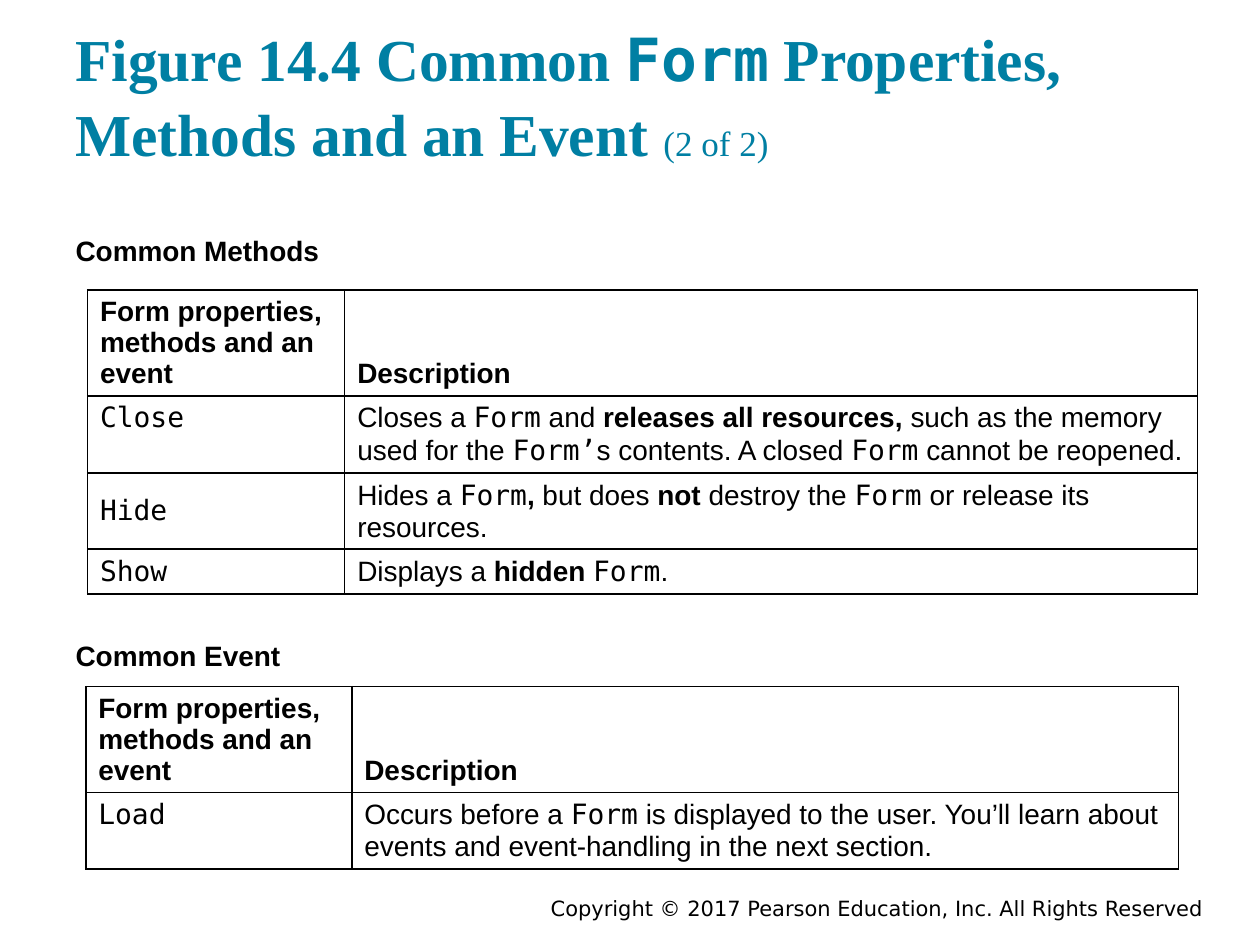
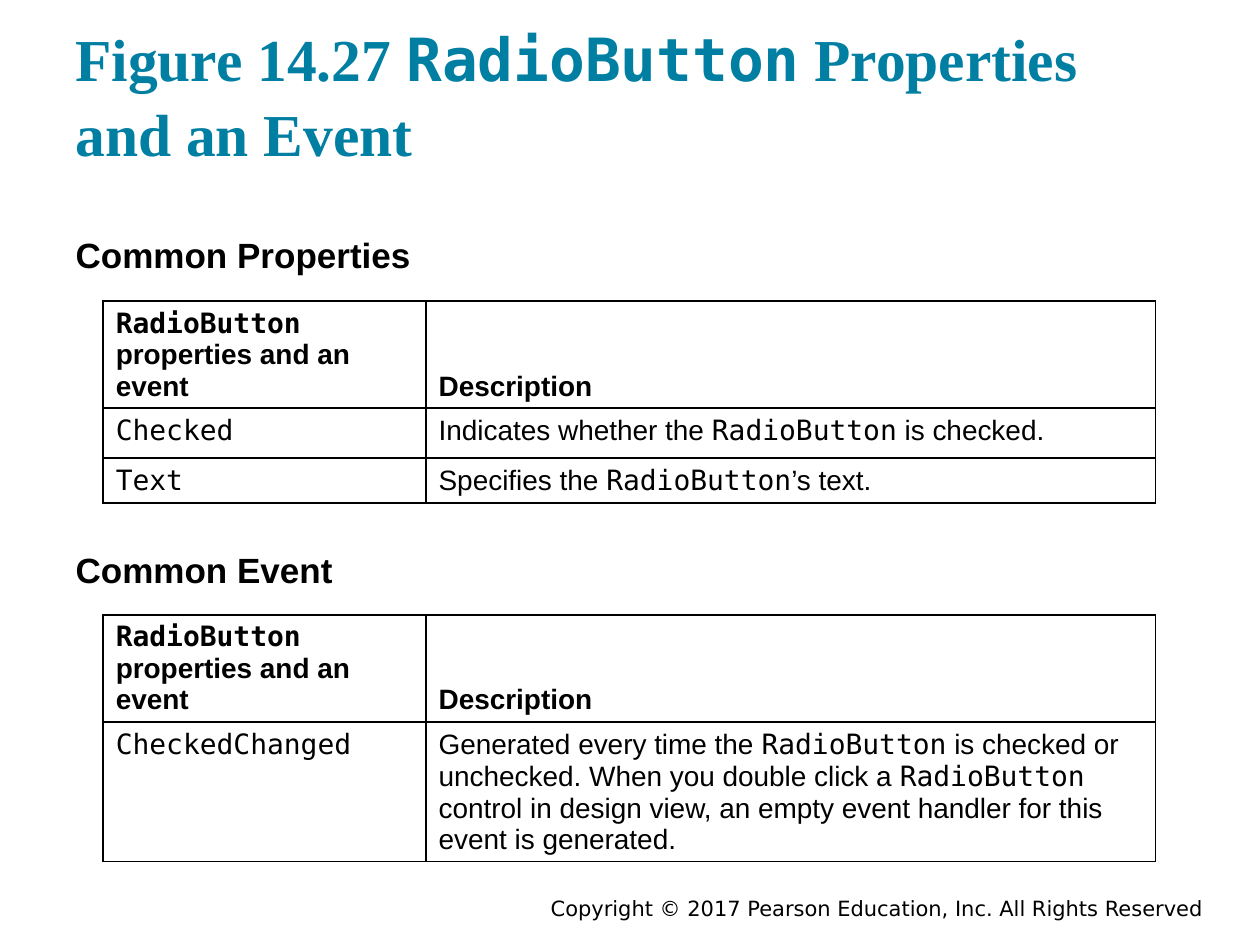
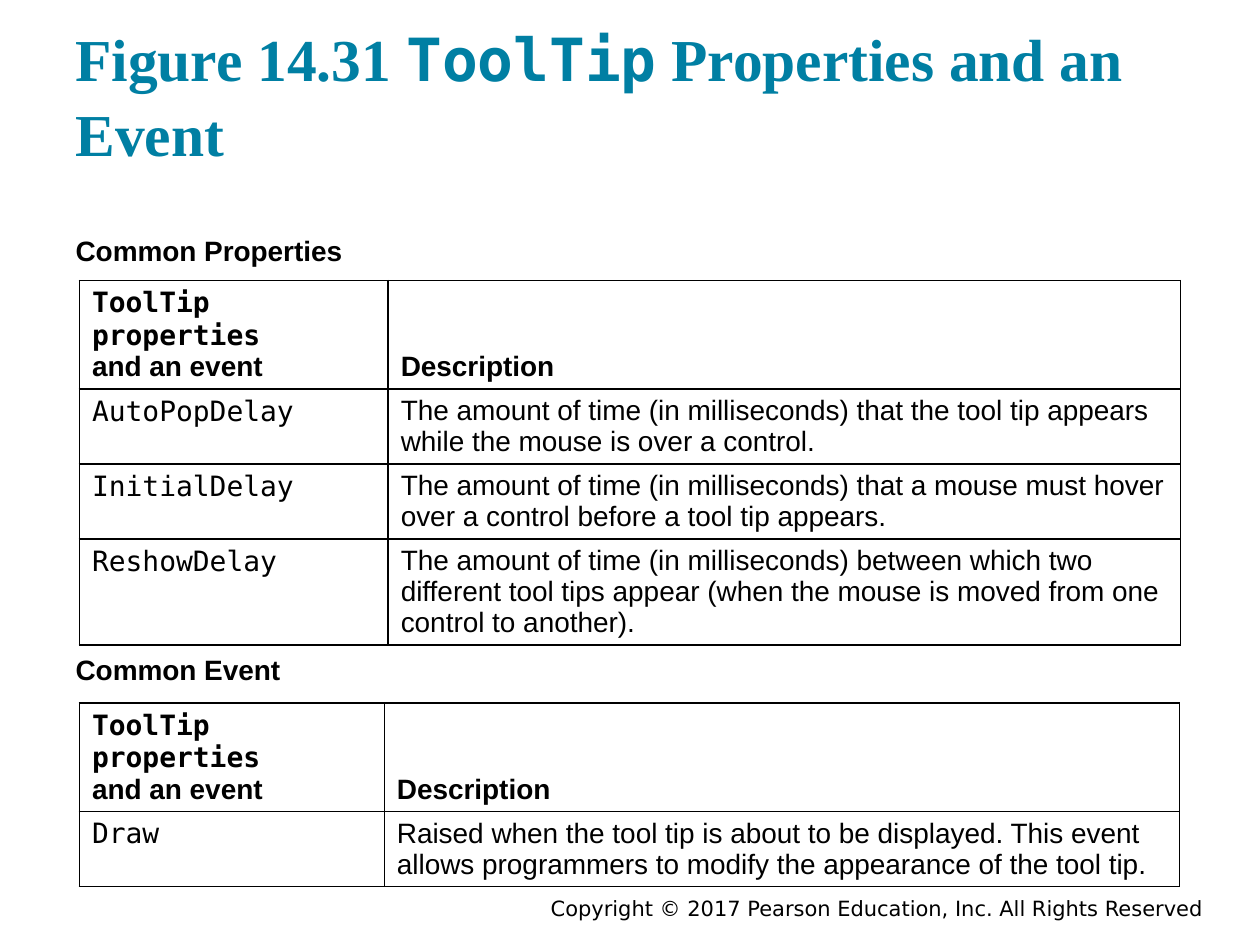
from lxml import etree
from pptx import Presentation
from pptx.dml.color import RGBColor
from pptx.enum.text import MSO_ANCHOR, MSO_AUTO_SIZE, PP_ALIGN
from pptx.oxml.ns import qn
from pptx.util import Pt

TOP, MIDDLE, BOTTOM = MSO_ANCHOR.TOP, MSO_ANCHOR.MIDDLE, MSO_ANCHOR.BOTTOM
LEFT, RIGHT = PP_ALIGN.LEFT, PP_ALIGN.RIGHT
NO_AUTOFIT = MSO_AUTO_SIZE.NONE

COLORS = {"title": "007FA3", "text": "000000", "border": "000000"}
CODE_FONT = "DejaVu Sans Mono"
TITLE = {"name": "Times New Roman", "size": Pt(34), "bold": True, "color": "title"}
TITLE_NOTE = {**TITLE, "size": Pt(20), "bold": False}
BODY = {"name": "Arial", "size": Pt(16), "bold": False, "color": "text"}
BOLD = {**BODY, "bold": True}
FOOTER = {**BODY, "name": "DejaVu Sans", "size": Pt(12)}

COPYRIGHT = "Copyright © 2017 Pearson Education, Inc. All Rights Reserved"
FORM_HEADER = "Form properties,\nmethods and an event"
RADIO_HEADER = "`RadioButton`\nproperties and an event"
TOOLTIP_HEADER = "`ToolTip properties`\nand an event"
HEADER_LINES = 3
LINE_HEIGHT = 17.8
CELL_PADDING = 7.2

# Backticks mark code and asterisks mark bold; each row is name, description, line count, name anchor.
SLIDES = [
    {
        "title": "Figure 14.4 Common `Form` Properties, Methods and an Event ",
        "note": "(2 of 2)",
        "heading_size": 16,
        "header": FORM_HEADER,
        "sections": [
            {"heading": "Common Methods", "heading_top": 126,
             "table_at": (50, 165.6), "columns": (147, 487.4),
             "rows": [
                 ("Close", "Closes a `Form` and *releases all resources,* such as the memory "
                  "used for the `Form’`s contents. A closed `Form` cannot be reopened.", 2, TOP),
                 ("Hide", "Hides a `Form`*,* but does *not* destroy the `Form` or release "
                  "its resources.", 2, MIDDLE),
                 ("Show", "Displays a *hidden *`Form`.", 1, MIDDLE),
             ]},
            {"heading": "Common Event", "heading_top": 357.8,
             "table_at": (49, 392.4), "columns": (152, 472.3),
             "rows": [
                 ("Load", "Occurs before a `Form` is displayed to the user. You’ll learn about "
                  "events and event-handling in the next section.", 2, TOP),
             ]},
        ],
    },
    {
        "title": "Figure 14.27 `RadioButton` Properties and an Event",
        "note": "",
        "heading_size": 20,
        "header": RADIO_HEADER,
        "sections": [
            {"heading": "Common Properties", "heading_top": 126,
             "table_at": (59, 172), "columns": (184.5, 416.7),
             "rows": [
                 ("Checked", "Indicates whether the `RadioButton` is checked.", 1.2, TOP),
                 ("Text", "Specifies the `RadioButton`’s text.", 1, TOP),
             ]},
            {"heading": "Common Event", "heading_top": 306,
             "table_at": (59, 351.3), "columns": (184.5, 416.7),
             "rows": [
                 ("CheckedChanged", "Generated every time the `RadioButton` is checked or "
                  "unchecked. When you double click a `RadioButton` control in design view, "
                  "an empty event handler for this event is generated.", 4, TOP),
             ]},
        ],
    },
    {
        "title": "Figure 14.31 `ToolTip` Properties and an Event",
        "note": "",
        "heading_size": 16,
        "header": TOOLTIP_HEADER,
        "sections": [
            {"heading": "Common Properties", "heading_top": 126,
             "table_at": (45.4, 160.4), "columns": (176.4, 452.9),
             "rows": [
                 ("AutoPopDelay", "The amount of time (in milliseconds) that the tool tip "
                  "appears while the mouse is over a control.", 2, TOP),
                 ("InitialDelay", "The amount of time (in milliseconds) that a mouse must "
                  "hover over a control before a tool tip appears.", 2, TOP),
                 ("ReshowDelay", "The amount of time (in milliseconds) between which two "
                  "different tool tips appear (when the mouse is moved from one control to "
                  "another).", 3, TOP),
             ]},
            {"heading": "Common Event", "heading_top": 365.8,
             "table_at": (45.4, 401.8), "columns": (174.2, 454.3),
             "rows": [
                 ("Draw", "Raised when the tool tip is about to be displayed. This event "
                  "allows programmers to modify the appearance of the tool tip.", 2, TOP),
             ]},
        ],
    },
]


def add_run(paragraph, text, style):
    run = paragraph.add_run()
    run.text = text
    for attribute, value in style.items():
        if attribute == "color":
            run.font.color.rgb = RGBColor.from_string(COLORS[value])
        else:
            setattr(run.font, attribute, value)


def add_marked_text(paragraph, text, style):
    for code_index, section in enumerate(text.split("`")):
        is_code = code_index % 2 == 1
        for bold_index, part in enumerate(section.split("*")):
            if part:
                add_run(paragraph, part, {
                    **style,
                    "name": CODE_FONT if is_code else style["name"],
                    "bold": style["bold"] or bold_index % 2 == 1,
                })


def place(shape, left, top, width, height):
    for attribute, value in zip(("left", "top", "width", "height"), (left, top, width, height)):
        setattr(shape, attribute, Pt(value))


def format_frame(shape, anchor, margin, alignment=LEFT, line_spacing=1.0):
    frame = shape.text_frame
    settings = {"word_wrap": True, "auto_size": NO_AUTOFIT, "vertical_anchor": anchor,
                "margin_left": Pt(7.2), "margin_right": Pt(7.2),
                "margin_top": Pt(margin), "margin_bottom": Pt(margin)}
    for attribute, value in settings.items():
        setattr(frame, attribute, value)
    paragraph = frame.paragraphs[0]
    paragraph.alignment = alignment
    paragraph.space_before = Pt(0)
    paragraph.line_spacing = line_spacing
    return paragraph


def add_title(slide, text, note):
    shape = slide.shapes.title
    place(shape, 36, 17.3, 648, 86.4)
    paragraph = format_frame(shape, BOTTOM, 7.2, line_spacing=1.06)
    add_marked_text(paragraph, text, TITLE)
    if note:
        add_run(paragraph, note, TITLE_NOTE)


def add_heading(shape, text, top, size):
    place(shape, 36, top, 648, 30)
    add_run(format_frame(shape, TOP, 7.2), text, {**BOLD, "size": Pt(size)})


def add_footer(slide):
    shape = slide.shapes.add_textbox(Pt(216), Pt(509.8), Pt(478.8), Pt(18))
    add_run(format_frame(shape, MIDDLE, 3.6, RIGHT), COPYRIGHT, FOOTER)


def add_borders(cell):
    properties = cell._tc.get_or_add_tcPr()
    for side in ("lnL", "lnR", "lnT", "lnB"):
        line = etree.SubElement(properties, qn(f"a:{side}"), w=str(Pt(1)))
        fill = etree.SubElement(line, qn("a:solidFill"))
        etree.SubElement(fill, qn("a:srgbClr"), val=COLORS["border"])


def fill_cell(cell, text, style, anchor):
    add_borders(cell)
    cell.fill.background()
    cell.vertical_anchor = anchor
    for index, line in enumerate(text.split("\n")):
        frame = cell.text_frame
        paragraph = frame.add_paragraph() if index else frame.paragraphs[0]
        add_marked_text(paragraph, line, style)


def add_member_table(slide, header, section):
    rows = [(header, "Description", HEADER_LINES, BOTTOM, BOLD)]
    rows += [(f"`{name}`", description, lines, anchor, BODY)
             for name, description, lines, anchor in section["rows"]]
    heights = [LINE_HEIGHT * row[2] + CELL_PADDING for row in rows]
    left, top = section["table_at"]
    columns = section["columns"]
    table = slide.shapes.add_table(len(rows), len(columns), Pt(left), Pt(top),
                                   Pt(sum(columns)), Pt(sum(heights))).table
    table.first_row = table.horz_banding = False
    for column, width in zip(table.columns, columns):
        column.width = Pt(width)
    for index, (name, description, _, anchor, style) in enumerate(rows):
        table.rows[index].height = Pt(heights[index])
        fill_cell(table.cell(index, 0), name, style, anchor)
        fill_cell(table.cell(index, 1), description, style, anchor)


def build_slide(presentation, content):
    slide = presentation.slides.add_slide(presentation.slide_layouts.get_by_name("Comparison"))
    _, first_heading, first_content, second_heading, second_content = slide.placeholders
    for placeholder in (first_content, second_content):
        placeholder.element.getparent().remove(placeholder.element)
    add_footer(slide)
    add_title(slide, content["title"], content["note"])
    for shape, section in zip((first_heading, second_heading), content["sections"]):
        add_heading(shape, section["heading"], section["heading_top"], content["heading_size"])
        add_member_table(slide, content["header"], section)


def main():
    presentation = Presentation()
    presentation.slide_width, presentation.slide_height = Pt(720), Pt(540)
    for content in SLIDES:
        build_slide(presentation, content)
    presentation.save("out.pptx")


if __name__ == "__main__":
    main()
